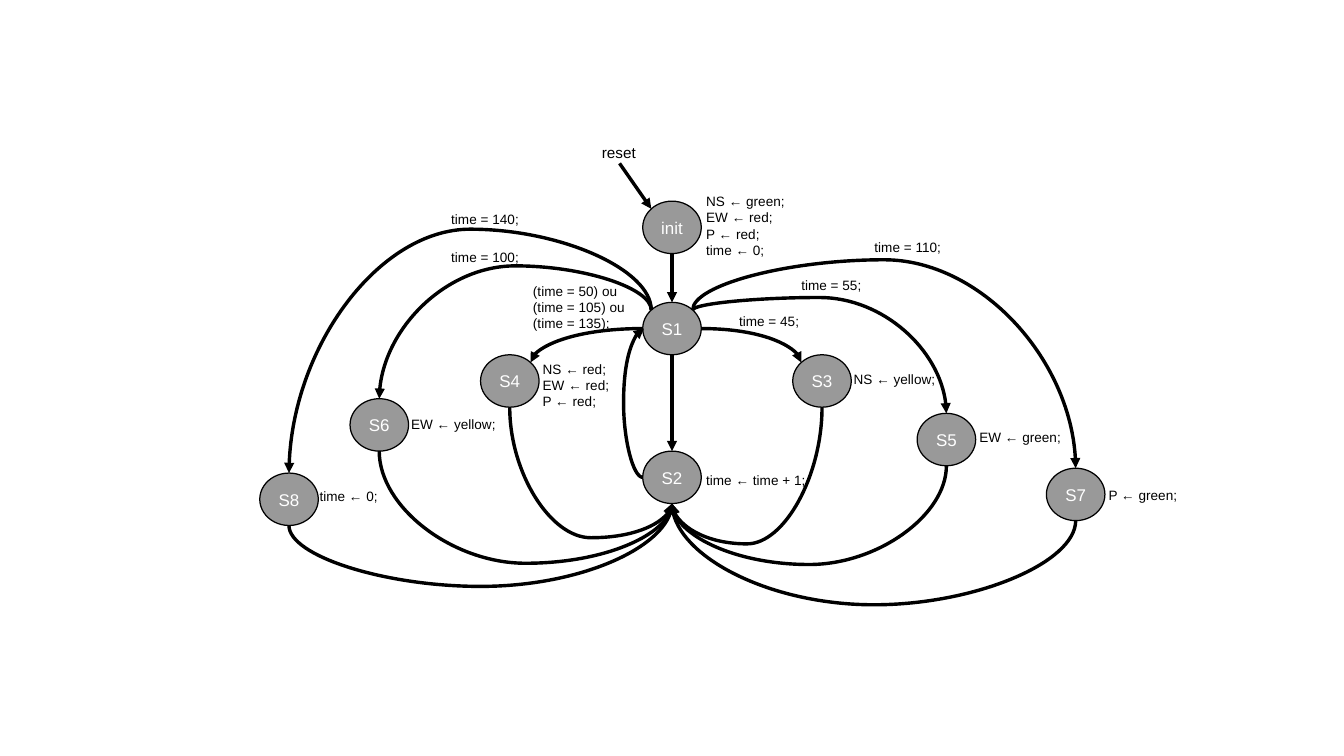
import math

from lxml import etree
from pptx import Presentation
from pptx import util as u
from pptx.dml.color import RGBColor
from pptx.enum import shapes, text
from pptx.oxml.ns import qn

NODE_W, NODE_H = 0.48, 0.43
TOP, TOP_LEFT, LEFT, BOTTOM, RIGHT, TOP_RIGHT = 0, 1, 2, 4, 6, 7

STATES = {
    "init": (5.27, 1.65), "S1": (5.27, 2.48), "S2": (5.27, 3.7),
    "S3": (6.5, 2.91), "S4": (3.94, 2.91), "S5": (7.52, 3.39),
    "S6": (2.87, 3.27), "S7": (8.58, 3.84), "S8": (2.13, 3.88),
}

TRANSITIONS = [
    ("S2", LEFT, "S1", LEFT, 5.11),
    ("S1", RIGHT, "S3", TOP_LEFT, None),
    ("S1", LEFT, "S4", TOP_RIGHT, None),
    ("S1", TOP_RIGHT, "S5", TOP, 2.44),
    ("S1", TOP_RIGHT, "S7", TOP, 2.13),
    ("S1", TOP_LEFT, "S6", TOP, 2.18),
    ("S1", TOP_LEFT, "S8", TOP, 1.88),
    ("S3", BOTTOM, "S2", BOTTOM, 4.46),
    ("S4", BOTTOM, "S2", BOTTOM, 4.41),
    ("S5", BOTTOM, "S2", BOTTOM, 4.63),
    ("S6", BOTTOM, "S2", BOTTOM, 4.62),
    ("S7", BOTTOM, "S2", BOTTOM, 4.96),
    ("S8", BOTTOM, "S2", BOTTOM, 4.81),
]

LABELS = [
    (5.79, 1.57, 0.98, 0.56, "NS ← green;\nEW ← red;\nP ← red;\ntime ← 0;"),
    (5.79, 3.86, 0.86, 0.15, "time ← time + 1;"),
    (6.06, 2.56, 0.55, 0.15, "time = 45;"),
    (6.57, 2.24, 0.55, 0.2, "time = 55;"),
    (7.17, 1.92, 0.63, 0.21, "time = 110;"),
    (3.7, 2, 0.63, 0.21, "time = 100;"),
    (3.7, 1.69, 0.63, 0.21, "time = 140;"),
    (4.37, 2.33, 0.82, 0.38, "(time = 50) ou\n(time = 105) ou\n(time = 135);"),
    (4.45, 2.97, 0.63, 0.38, "NS ← red;\nEW ← red;\nP ← red;"),
    (7, 2.98, 0.87, 0.25, "NS ← yellow;"),
    (8.03, 3.46, 0.87, 0.25, "EW ← green;"),
    (3.37, 3.35, 0.79, 0.25, "EW ← yellow;"),
    (9.09, 3.98, 0.59, 0.16, "P ← green;"),
    (2.62, 3.94, 0.79, 0.25, "time ← 0;"),
]


def rgb(value):
    return RGBColor.from_string(value)


def format_text(tf, content, size, color, align):
    tf.text = content
    tf.vertical_anchor = text.MSO_ANCHOR.MIDDLE
    for p in tf.paragraphs:
        p.alignment = align
        for r in p.runs:
            r.font.name = "Arial"
            r.font.size = u.Pt(size)
            r.font.color.rgb = rgb(color)


def add_state(s, name, x, y):
    sp = s.shapes.add_shape(shapes.MSO_SHAPE.OVAL, u.Inches(x), u.Inches(y),
                            u.Inches(NODE_W), u.Inches(NODE_H))
    sp.shadow.inherit = False
    sp.fill.solid()
    sp.fill.fore_color.rgb = rgb("999999")
    sp.line.color.rgb = rgb("000000")
    sp.line.width = 0
    sp.text_frame.word_wrap = False
    format_text(sp.text_frame, name, 10, "FFFFFF", text.PP_ALIGN.CENTER)
    return sp


def add_label(s, x, y, w, h, content, size=8, align=text.PP_ALIGN.LEFT):
    tf = s.shapes.add_textbox(u.Inches(x), u.Inches(y), u.Inches(w), u.Inches(h)).text_frame
    tf.margin_left = tf.margin_right = tf.margin_top = tf.margin_bottom = 0
    tf.word_wrap = True
    format_text(tf, content, size, "000000", align)


def site_point(name, site):
    x, y = STATES[name]
    angle = math.radians(90 + 45 * site)
    return (x + NODE_W / 2 * (1 + math.cos(angle)),
            y + NODE_H / 2 * (1 - math.sin(angle)))


def add_arrow(s, kind, start, end):
    c = s.shapes.add_connector(kind, *(u.Inches(v) for v in (*start, *end)))
    c.line.color.rgb = rgb("000000")
    c.line.width = 0
    etree.SubElement(c.line._get_or_add_ln(), qn("a:tailEnd"), type="triangle")
    etree.SubElement(c._element.spPr, qn("a:effectLst"))
    return c


def glue(c, tag, sp, site):
    props = c._element.find(".//" + qn("p:cNvCxnSpPr"))
    etree.SubElement(props, qn(tag), id=str(sp.shape_id), idx=str(site))


def add_curve(s, start, end, horizontal, via):
    c = add_arrow(s, shapes.MSO_CONNECTOR.CURVE, start, end)
    dx, dy = end[0] - start[0], end[1] - start[1]
    if horizontal:
        dx = dx or 0.01
        w, h = abs(dx), abs(dy)
        rotation = 180 if dx < 0 or dy < 0 else 0
        flip_h, flip_v = dx > 0 > dy, dx < 0 < dy
        origin, span = start[0], dx
    else:
        w, h = abs(dy), abs(dx)
        rotation = 90 if dx * dy < 0 else 270
        flip_h, flip_v = dx > 0, dy < 0
        origin, span = start[1], dy
    c.left = u.Inches(start[0] + dx / 2 - w / 2)
    c.top = u.Inches(start[1] + dy / 2 - h / 2)
    c.width, c.height = u.Inches(w), u.Inches(h)
    xfrm = c._element.spPr.find(qn("a:xfrm"))
    xfrm.set("rot", str(rotation * 60000))
    xfrm.set("flipH", str(int(flip_h)))
    xfrm.set("flipV", str(int(flip_v)))
    geom = c._element.spPr.find(qn("a:prstGeom"))
    if via is None:
        geom.set("prst", "curvedConnector2")
    else:
        bend = round((via - origin) / span * 100000)
        etree.SubElement(geom.find(qn("a:avLst")), qn("a:gd"),
                         name="adj1", fmla=f"val {bend}")
    return c


def main():
    prs = Presentation()
    prs.slide_width, prs.slide_height = u.Inches(11.02), u.Inches(6.2)
    s = prs.slides.add_slide(prs.slide_layouts[6])

    nodes = {name: add_state(s, name, *at) for name, at in STATES.items()}

    straight = shapes.MSO_CONNECTOR.STRAIGHT
    c = add_arrow(s, straight, (5.08, 1.34), site_point("init", TOP_LEFT))
    glue(c, "a:endCxn", nodes["init"], TOP_LEFT)
    for source, target in (("init", "S1"), ("S1", "S2")):
        c = add_arrow(s, straight, site_point(source, BOTTOM), site_point(target, TOP))
        glue(c, "a:stCxn", nodes[source], BOTTOM)
        glue(c, "a:endCxn", nodes[target], TOP)

    for source, leave, target, enter, via in TRANSITIONS:
        c = add_curve(s, site_point(source, leave), site_point(target, enter),
                      leave in (LEFT, RIGHT), via)
        glue(c, "a:stCxn", nodes[source], leave)
        glue(c, "a:endCxn", nodes[target], enter)

    add_label(s, 4.76, 1.18, 0.63, 0.14, "reset", 9, text.PP_ALIGN.CENTER)
    for label in LABELS:
        add_label(s, *label)

    prs.save("out.pptx")


if __name__ == "__main__":
    main()
